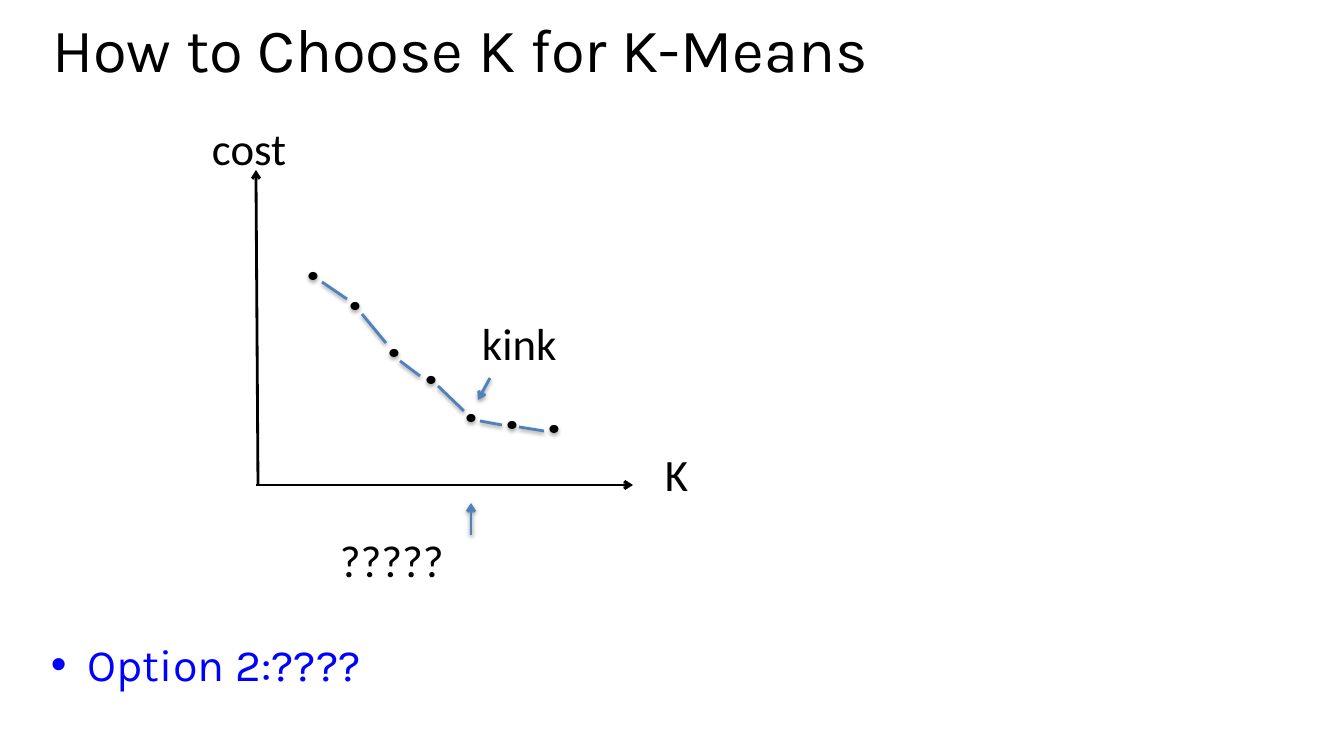
from lxml import etree
from pptx import Presentation
from pptx.dml.color import RGBColor
from pptx.enum.shapes import MSO_CONNECTOR, MSO_SHAPE
from pptx.enum.text import MSO_ANCHOR, MSO_AUTO_SIZE, PP_ALIGN
from pptx.oxml.ns import qn
from pptx.util import Emu, Pt

STRAIGHT = MSO_CONNECTOR.STRAIGHT
OVAL = MSO_SHAPE.OVAL
TOP = MSO_ANCHOR.TOP
LEFT = PP_ALIGN.LEFT
FIT_SHAPE = MSO_AUTO_SIZE.SHAPE_TO_FIT_TEXT
NO_FIT = MSO_AUTO_SIZE.NONE

COLORS = {"ink": "000000", "curve": "4F81BD", "option": "0000FF"}
HEADING = "How to Choose K for K-Means"
OPTION = "Option 2:????"
LABELS = [
    ("kink", 472, 311, 96),
    ("?????", 330, 528, 125),
    ("K", 655, 442, 44),
    ("cost", 202, 116, 96),
]
LABEL_HEIGHT = 65
AXES = [((258, 484), (256, 170)), ((256, 485), (633, 485))]
COSTS = [(313, 276), (355, 306), (394, 353), (431, 380),
         (471, 418), (512, 425), (554, 429)]
DOT_WIDTH, DOT_HEIGHT = 8, 7
CURVE = [
    ((322, 282), (347, 299)),
    ((362, 314), (386, 343)),
    ((400, 361), (420, 376)),
    ((438, 386), (464, 411)),
    ((480, 421), (502, 425)),
    ((519, 427), (544, 431)),
]
POINTERS = [((490, 378), (478, 400)), ((471, 535), (471, 503))]
DOT_SHADOW = (1.8, 35)
LINE_SHADOW = (1.6, 38)
SHADOW_BLUR = 3.1


def px(length):
    return Emu(round(length * 914400 / 100.8))


def rgb(name):
    return RGBColor.from_string(COLORS[name])


def add_run(paragraph, text, font, size, color):
    run = paragraph.add_run()
    run.text = text
    run.font.name = font
    run.font.size = Pt(size)
    run.font.color.rgb = rgb(color)


def add_shadow(shape, distance, opacity):
    effects = etree.SubElement(shape.element.spPr, qn("a:effectLst"))
    outer = etree.SubElement(
        effects, qn("a:outerShdw"), blurRad=str(Pt(SHADOW_BLUR)),
        dist=str(Pt(distance)), dir="5400000", rotWithShape="0")
    color = etree.SubElement(outer, qn("a:srgbClr"), val=COLORS["ink"])
    etree.SubElement(color, qn("a:alpha"), val=str(opacity * 1000))


def add_line(start, end, color, arrow, shadow):
    line = slide.shapes.add_connector(STRAIGHT, *map(px, start + end))
    line.line.color.rgb = rgb(color)
    line.line.width = Pt(2)
    properties = line.element.spPr
    if arrow:
        etree.SubElement(properties.find(qn("a:ln")), qn("a:tailEnd"), type="arrow")
    if shadow:
        add_shadow(line, *shadow)
    else:
        etree.SubElement(properties, qn("a:effectLst"))


deck = Presentation()
deck.slide_width, deck.slide_height = px(1344), px(756)
slide = deck.slides.add_slide(deck.slide_layouts[5])

heading = slide.shapes.title
heading.left, heading.top, heading.width, heading.height = map(px, (42, 20, 1270, 117))
heading.text_frame.vertical_anchor = TOP
heading.text_frame.auto_size = NO_FIT
heading_line = heading.text_frame.paragraphs[0]
heading_line.alignment = LEFT
heading_line.line_spacing = 0.8
add_run(heading_line, HEADING, "Karla", 44, "ink")

option = slide.shapes.add_textbox(*map(px, (41, 632, 1263, 102)))
option.text_frame.word_wrap = True
option_line = option.text_frame.paragraphs[0]
indents = option_line._p.get_or_add_pPr()
indents.set("marL", str(px(37)))
indents.set("indent", str(-px(37)))
etree.SubElement(indents, qn("a:buFont"), typeface="Arial")
etree.SubElement(indents, qn("a:buChar"), char="•")
add_run(option_line, OPTION, "Karla", 32, "option")

for start, end in AXES:
    add_line(start, end, "ink", True, None)

for x, y in COSTS:
    dot = slide.shapes.add_shape(
        OVAL, px(x - DOT_WIDTH / 2), px(y - DOT_HEIGHT / 2),
        px(DOT_WIDTH), px(DOT_HEIGHT))
    dot.fill.solid()
    dot.fill.fore_color.rgb = rgb("ink")
    dot.line.color.rgb = rgb("ink")
    dot.line.width = Pt(0.75)
    add_shadow(dot, *DOT_SHADOW)

for start, end in CURVE:
    add_line(start, end, "curve", False, LINE_SHADOW)
for start, end in POINTERS:
    add_line(start, end, "curve", True, LINE_SHADOW)

for text, left, top, width in LABELS:
    label = slide.shapes.add_textbox(*map(px, (left, top, width, LABEL_HEIGHT)))
    label.text_frame.word_wrap = False
    label.text_frame.auto_size = FIT_SHAPE
    add_run(label.text_frame.paragraphs[0], text, "Calibri", 32, "ink")

deck.save("out.pptx")
